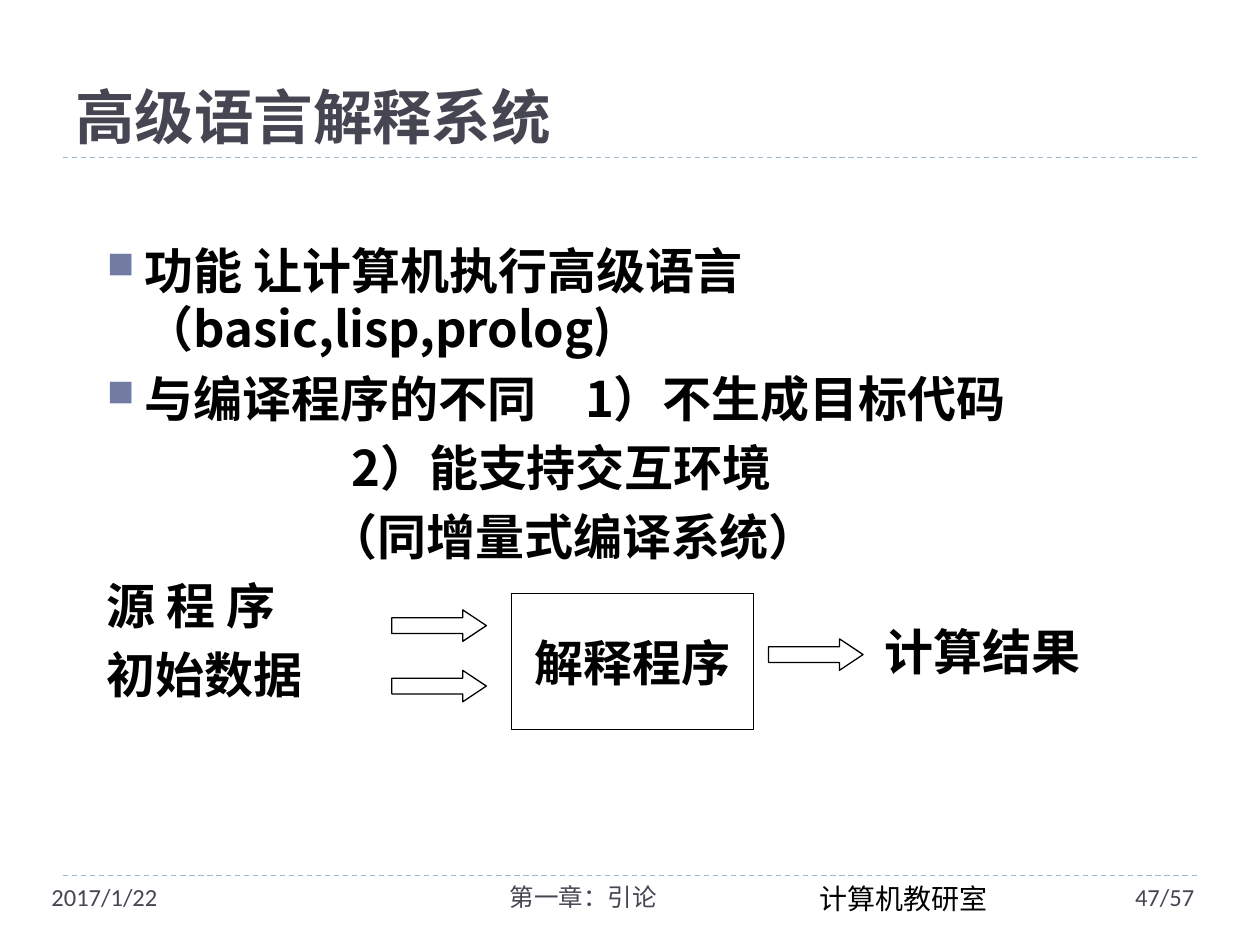
import pptx
import pptx.util
import pptx.dml.color
import pptx.enum.dml
import pptx.enum.shapes
import pptx.enum.text
import pptx.oxml.ns
import lxml.etree

W, H = 10, 7.5
SANS = "Noto Sans CJK SC"
INK, GREY, WHITE, RULE, MARK = "000000", "464653", "FFFFFF", "9FB8CD", "727CA3"
ALIGN = pptx.enum.text.PP_ALIGN
ANCHOR = pptx.enum.text.MSO_ANCHOR
SHAPE = pptx.enum.shapes.MSO_SHAPE
Inches, Pt = pptx.util.Inches, pptx.util.Pt


def color(code):
    return pptx.dml.color.RGBColor.from_string(code)


def sub(node, tag, **attrs):
    return lxml.etree.SubElement(node, pptx.oxml.ns.qn(tag), attrs)


def add_run(para, text, size, font, code, bold=False):
    run = para.add_run()
    run.text = text
    run.font.size = Pt(size)
    run.font.name = font
    run.font.bold = bold
    run.font.color.rgb = color(code)
    sub(run._r.get_or_add_rPr(), "a:ea", typeface=SANS)


def add_box(slide, x, y, w, h, anchor=ANCHOR.TOP):
    box = slide.shapes.add_textbox(Inches(x), Inches(y), Inches(w), Inches(h))
    box.text_frame.word_wrap = True
    box.text_frame.vertical_anchor = anchor
    return box.text_frame


def add_label(slide, spot, text, size, font, code, align=ALIGN.LEFT):
    para = add_box(slide, *spot).paragraphs[0]
    para.alignment = align
    add_run(para, text, size, font, code)


def add_rule(slide, y):
    kind = pptx.enum.shapes.MSO_CONNECTOR.STRAIGHT
    edge = W * 0.05
    rule = slide.shapes.add_connector(
        kind, Inches(edge), Inches(y), Inches(W - edge), Inches(y))
    rule.line.color.rgb = color(RULE)
    rule.line.width = Pt(0.75)
    rule.line.dash_style = pptx.enum.dml.MSO_LINE.DASH
    sub(rule._element.spPr, "a:effectLst")


def add_item(para, text, indent=0, bullet=False):
    para.space_before = Pt(6)
    para.line_spacing = Pt(33.5)
    props = para._p.get_or_add_pPr()
    props.set("marL", str(Inches(0.3 if bullet else indent)))
    props.set("indent", str(Inches(-0.3 if bullet else 0)))
    if bullet:
        sub(sub(props, "a:buClr"), "a:srgbClr", val=MARK)
        sub(props, "a:buSzPct", val="76000")
        sub(props, "a:buChar", char="■")
    add_run(para, text, 28, SANS, INK, True)


def add_shape(slide, kind, x, y, w, h, line=INK, text=""):
    shape = slide.shapes.add_shape(
        kind, Inches(x), Inches(y), Inches(w), Inches(h))
    shape.shadow.inherit = False
    shape.fill.solid()
    shape.fill.fore_color.rgb = color(WHITE)
    shape.line.color.rgb = color(line)
    shape.line.width = Pt(0.75)
    if text:
        frame = shape.text_frame
        frame.word_wrap = False
        frame.vertical_anchor = ANCHOR.MIDDLE
        frame.paragraphs[0].alignment = ALIGN.CENTER
        add_run(frame.paragraphs[0], text, 28, SANS, INK, True)
    return shape


def add_arrow(slide, x, y):
    arrow = add_shape(slide, SHAPE.RIGHT_ARROW, x, y, 0.75, 0.25)
    arrow.adjustments[0] = 0.5
    arrow.adjustments[1] = 0.75


def main():
    deck = pptx.Presentation()
    deck.slide_width, deck.slide_height = Inches(W), Inches(H)
    slide = deck.slides.add_slide(deck.slide_layouts[6])

    # Rules and footer
    foot = 6.95
    for y in (1.25, foot):
        add_rule(slide, y)
    add_label(slide, (6.41, foot, 1.66, 0.37), "计算机教研室",
              16, "Times New Roman", INK)
    for x, w, text, align in (
            (0.31, 1.95, "2017/1/22", ALIGN.LEFT),
            (3.17, 2.92, "第一章：引论", ALIGN.CENTER),
            (8.91, 0.99, "47/57", ALIGN.LEFT)):
        add_label(slide, (x, foot, w, 0.4), text, 14, "Calibri", GREY, align)

    # Title
    title = add_box(slide, 0.5, 0.17, 9, 1.08, ANCHOR.BOTTOM)
    add_run(title.paragraphs[0], "高级语言解释系统", 34, SANS, GREY, True)

    # Body: text, indent, bullet
    items = (
        ("功能\u2002让计算机执行高级语言（basic,lisp,prolog)".replace("\u2002", " "), 0, True),
        ("与编译程序的不同　1）不生成目标代码", 0, True),
        ("2）能支持交互环境", 1.94, False),
        ("（同增量式编译系统）", 1.76, False),
        ("源 程 序", 0, False),
        ("初始数据", 0, False),
    )
    body = add_box(slide, 0.75, 1.86, 8.5, 4.5)
    for i, item in enumerate(items):
        add_item(body.add_paragraph() if i else body.paragraphs[0], *item)

    # Flow: inputs, interpreter, result
    add_shape(slide, SHAPE.RECTANGLE, 4.06, 4.71, 1.92, 1.08, INK, "解释程序")
    add_shape(slide, SHAPE.RECTANGLE, 6.89, 4.93, 1.81, 0.47, WHITE, "计算结果")
    for x, y in ((3.11, 4.84), (3.11, 5.32), (6.1, 5.07)):
        add_arrow(slide, x, y)

    deck.save("out.pptx")


if __name__ == "__main__":
    main()
